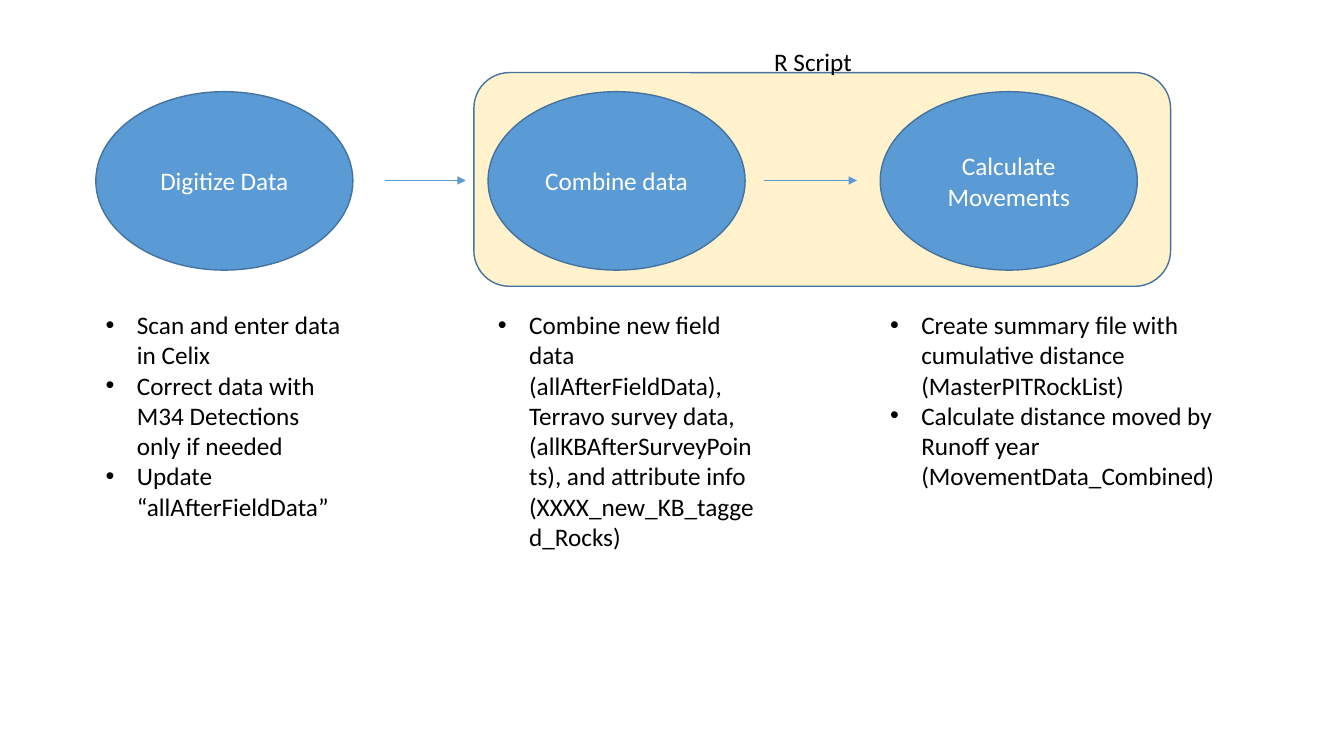
import pptx
import pptx.util
import pptx.dml.color
import pptx.enum.shapes
import pptx.enum.text
import lxml.etree
from pptx.oxml.ns import qn

Inches = pptx.util.Inches
Pt = pptx.util.Pt
SHAPE = pptx.enum.shapes.MSO_SHAPE
ALIGN = pptx.enum.text.PP_ALIGN

BLUE, EDGE, CREAM = "5B9BD5", "43739E", "FFF2CC"
WHITE, BLACK = "FFFFFF", "000000"

# Each step: title, width of its notes, notes
STEPS = [
    ("Digitize Data", 2.55, [
        "Scan and enter data in Celix",
        "Correct data with M34 Detections only if needed",
        "Update “allAfterFieldData”"]),
    ("Combine data", 2.74, [
        "Combine new field data (allAfterFieldData), Terravo survey data, "
        "(allKBAfterSurveyPoints), and attribute info "
        "(XXXX_new_KB_tagged_Rocks)"]),
    ("Calculate Movements", 3.43, [
        "Create summary file with cumulative distance (MasterPITRockList)",
        "Calculate distance moved by Runoff year (MovementData_Combined)"]),
]
LEFT, PITCH = 0.95, 3.89


def color(code):
    return pptx.dml.color.RGBColor.from_string(code)


def style(para, code):
    for run in para.runs:
        run.font.name = "Calibri"
        run.font.size = Pt(18)
        run.font.color.rgb = color(code)


def add_form(slide, kind, box, fill):
    form = slide.shapes.add_shape(kind, *map(Inches, box))
    form.shadow.inherit = False
    form.fill.solid()
    form.fill.fore_color.rgb = color(fill)
    form.line.color.rgb = color(EDGE)
    form.line.width = Pt(1)
    return form


def add_step(slide, left, title):
    oval = add_form(slide, SHAPE.OVAL, (left, 0.91, 2.55, 1.77), BLUE)
    frame = oval.text_frame
    frame.text = title
    frame.word_wrap = True
    frame.vertical_anchor = pptx.enum.text.MSO_ANCHOR.MIDDLE
    frame.paragraphs[0].alignment = ALIGN.CENTER
    style(frame.paragraphs[0], WHITE)


def add_text(slide, box, lines, listed=False):
    frame = slide.shapes.add_textbox(*map(Inches, box)).text_frame
    frame.word_wrap = True
    frame.text = "\n".join(lines)
    for para in frame.paragraphs:
        style(para, BLACK)
        if listed:
            add_dot(para)


def add_dot(para):
    props = para._p.get_or_add_pPr()
    props.set("marL", str(Inches(0.31)))
    props.set("indent", str(Inches(-0.31)))
    font = lxml.etree.SubElement(props, qn("a:buFont"))
    font.set("typeface", "Arial")
    dot = lxml.etree.SubElement(props, qn("a:buChar"))
    dot.set("char", "•")


def add_arrow(slide, start, end, top):
    arrow = slide.shapes.add_connector(
        pptx.enum.shapes.MSO_CONNECTOR.STRAIGHT,
        Inches(start), Inches(top), Inches(end), Inches(top))
    arrow.line.color.rgb = color(BLUE)
    arrow.line.width = Pt(0.5)
    head = lxml.etree.SubElement(arrow.line._get_or_add_ln(), qn("a:tailEnd"))
    head.set("type", "triangle")
    lxml.etree.SubElement(arrow._element.spPr, qn("a:effectLst"))


def main():
    deck = pptx.Presentation()
    deck.slide_width = Inches(13.33)
    deck.slide_height = Inches(7.5)
    slide = deck.slides.add_slide(deck.slide_layouts[6])

    # Script panel and its label
    add_form(slide, SHAPE.ROUNDED_RECTANGLE, (4.7, 0.72, 6.91, 2.12), CREAM)
    add_text(slide, (7.58, 0.41, 1.84, 0.4), ["R Script"])

    # Steps with notes below
    for index, (title, width, notes) in enumerate(STEPS):
        left = LEFT + index * PITCH
        add_step(slide, left, title)
        add_text(slide, (left, 3.02, width, 2.22), notes, listed=True)

    # Arrows between steps
    for start, end in [(3.82, 4.62), (7.58, 8.5)]:
        add_arrow(slide, start, end, 1.79)

    deck.save("out.pptx")


if __name__ == "__main__":
    main()
